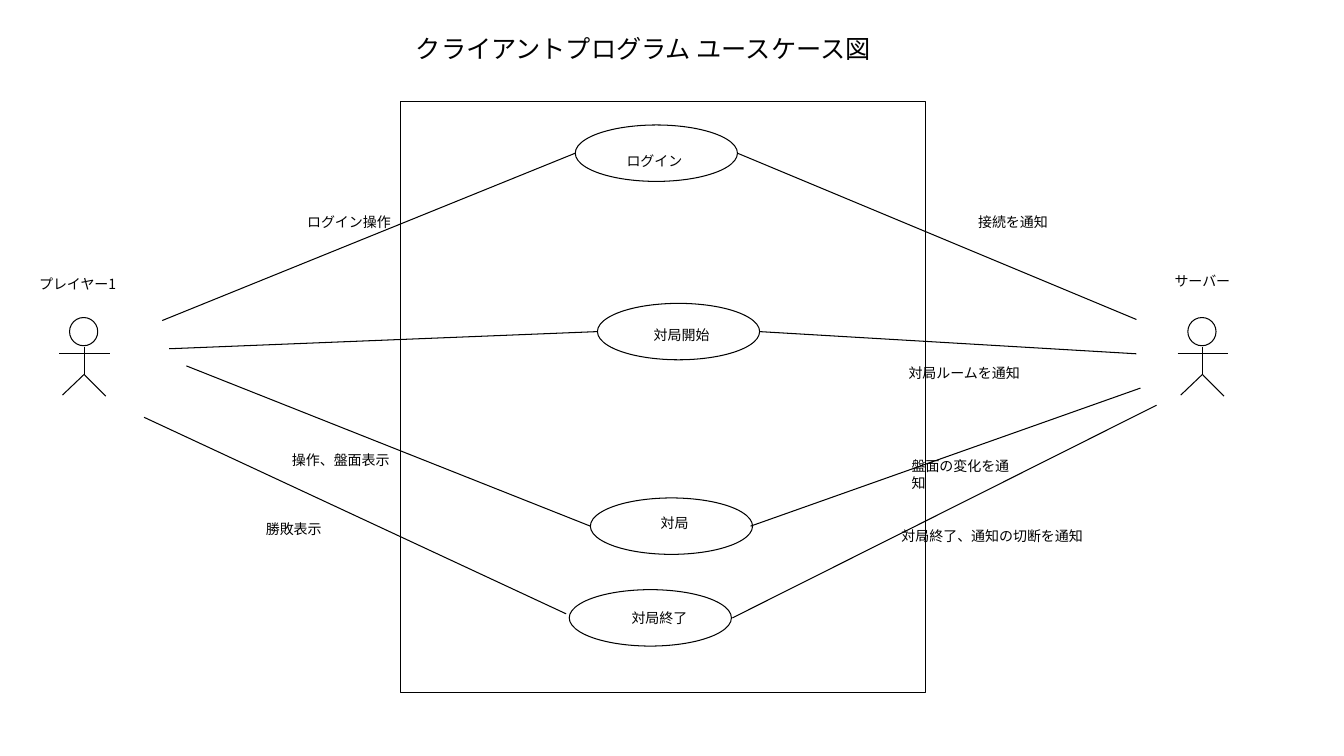
"""Use case diagram of a client program with its player and server."""
from lxml import etree
from pptx import Presentation
from pptx.dml.color import RGBColor
from pptx.enum import shapes as sh
from pptx.oxml.ns import qn
from pptx.util import Inches, Pt

BLACK = RGBColor(0, 0, 0)
FONT = "Noto Sans CJK JP"

deck = Presentation()
deck.slide_width, deck.slide_height = Inches(13.34), Inches(7.5)
slide = deck.slides.add_slide(deck.slide_layouts[6])


def outline(kind, x, y, w, h):
    shape = slide.shapes.add_shape(kind, Inches(x), Inches(y), Inches(w), Inches(h))
    shape.shadow.inherit = False
    shape.fill.background()
    shape.line.color.rgb = BLACK
    shape.line.width = Pt(0.75)


def link(x1, y1, x2, y2):
    line = slide.shapes.add_connector(
        sh.MSO_CONNECTOR.STRAIGHT, Inches(x1), Inches(y1), Inches(x2), Inches(y2))
    line.line.color.rgb = BLACK
    line.line.width = Pt(0.75)
    etree.SubElement(line._element.spPr, qn("a:effectLst"))


OVAL = sh.MSO_SHAPE.OVAL
outline(sh.MSO_SHAPE.RECTANGLE, 3.98, 1.01, 5.21, 5.86)

for mid in (0.84, 11.94):
    outline(OVAL, mid - 0.15, 3.15, 0.28, 0.28)
    link(mid - 0.25, 3.51, mid + 0.25, 3.51)
    link(mid, 3.44, mid, 3.72)
    link(mid, 3.71, mid - 0.22, 3.92)
    link(mid, 3.72, mid + 0.21, 3.93)

for x, y in ((5.71, 1.24), (5.93, 3.01), (5.86, 4.94), (5.65, 5.85)):
    outline(OVAL, x, y, 1.61, 0.56)

links = [
    (1.61, 3.18, 5.71, 1.52),
    (7.32, 1.52, 11.28, 3.17),
    (1.68, 3.46, 5.93, 3.29),
    (7.54, 3.29, 11.28, 3.51),
    (1.85, 3.63, 5.86, 5.22),
    (7.45, 5.22, 11.32, 3.85),
    (1.43, 4.14, 5.62, 6.09),
    (7.27, 6.13, 11.48, 4.02),
]
for ends in links:
    link(*ends)

labels = [
    ("クライアントプログラム ユースケース図", 4.03, 0.28, 4.76, 0.4, 18, False),
    ("プレイヤー1", 0.29, 2.68, 1.06, 0.27, 10, True),
    ("サーバー", 11.56, 2.65, 0.75, 0.27, 10, False),
    ("ログイン", 6.12, 1.46, 0.75, 0.27, 10, False),
    ("対局開始", 6.39, 3.19, 0.75, 0.27, 10, False),
    ("対局", 6.46, 5.06, 0.69, 0.27, 10, True),
    ("対局終了", 6.17, 6, 0.75, 0.27, 10, False),
    ("ログイン操作", 2.95, 2.07, 1.03, 0.27, 10, False),
    ("操作、盤面表示", 2.8, 4.43, 1.17, 0.27, 10, False),
    ("勝敗表示", 2.54, 5.11, 0.75, 0.27, 10, False),
    ("接続を通知", 9.61, 2.07, 0.89, 0.27, 10, False),
    ("対局ルームを通知", 8.92, 3.57, 1.3, 0.27, 10, False),
    ("盤面の変化を通知", 8.95, 4.49, 1.3, 0.27, 10, False),
    ("対局終了、通知の切断を通知", 8.85, 5.18, 2, 0.27, 10, False),
]
for words, x, y, w, h, size, wrap in labels:
    box = slide.shapes.add_textbox(Inches(x), Inches(y), Inches(w), Inches(h))
    frame = box.text_frame
    frame.word_wrap = wrap
    frame.text = words
    run = frame.paragraphs[0].runs[0]
    run.font.size = Pt(size)
    run.font.name = FONT
    run.font.color.rgb = BLACK
    east = etree.SubElement(run.font._element, qn("a:ea"))
    east.set("typeface", FONT)

deck.save("out.pptx")
